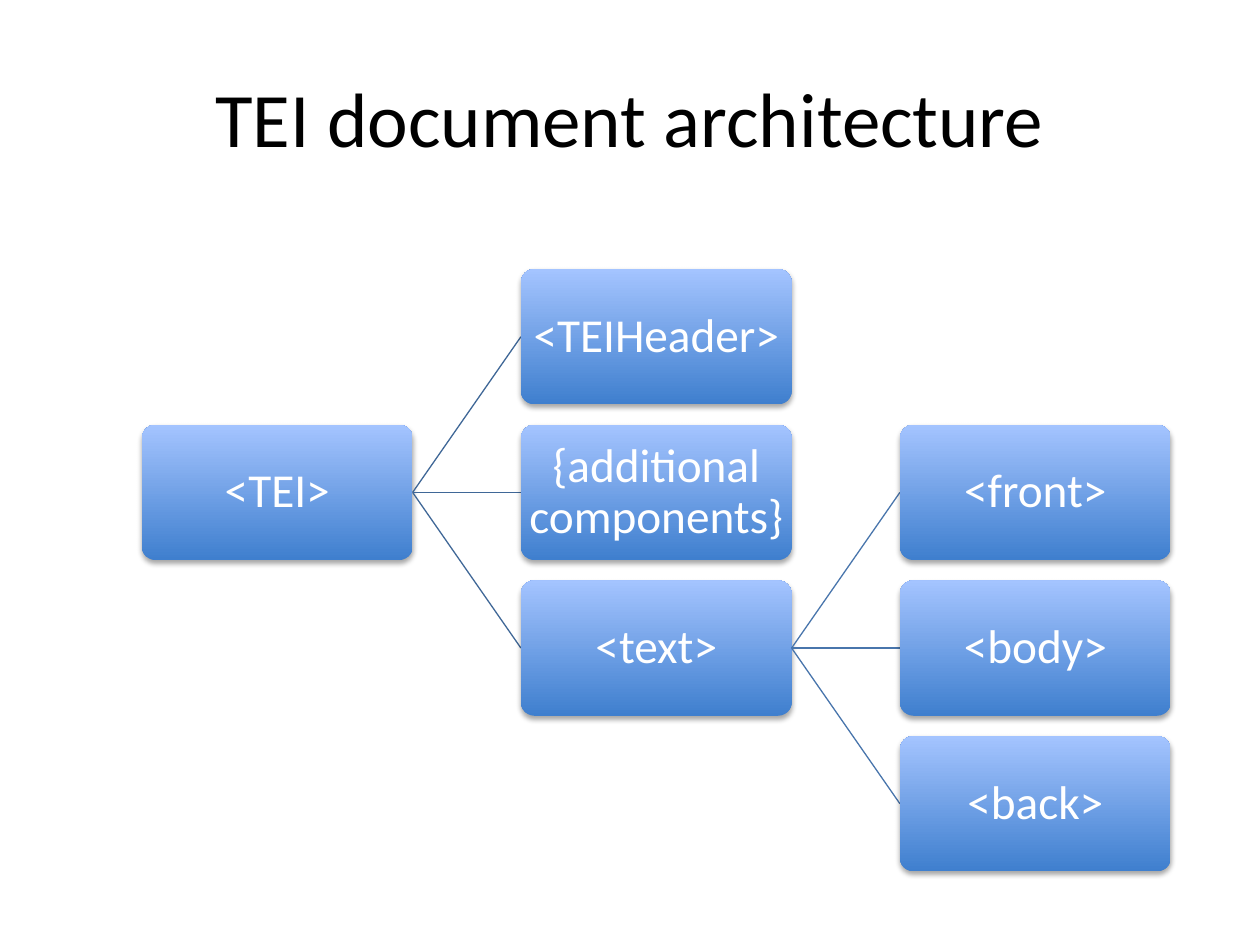
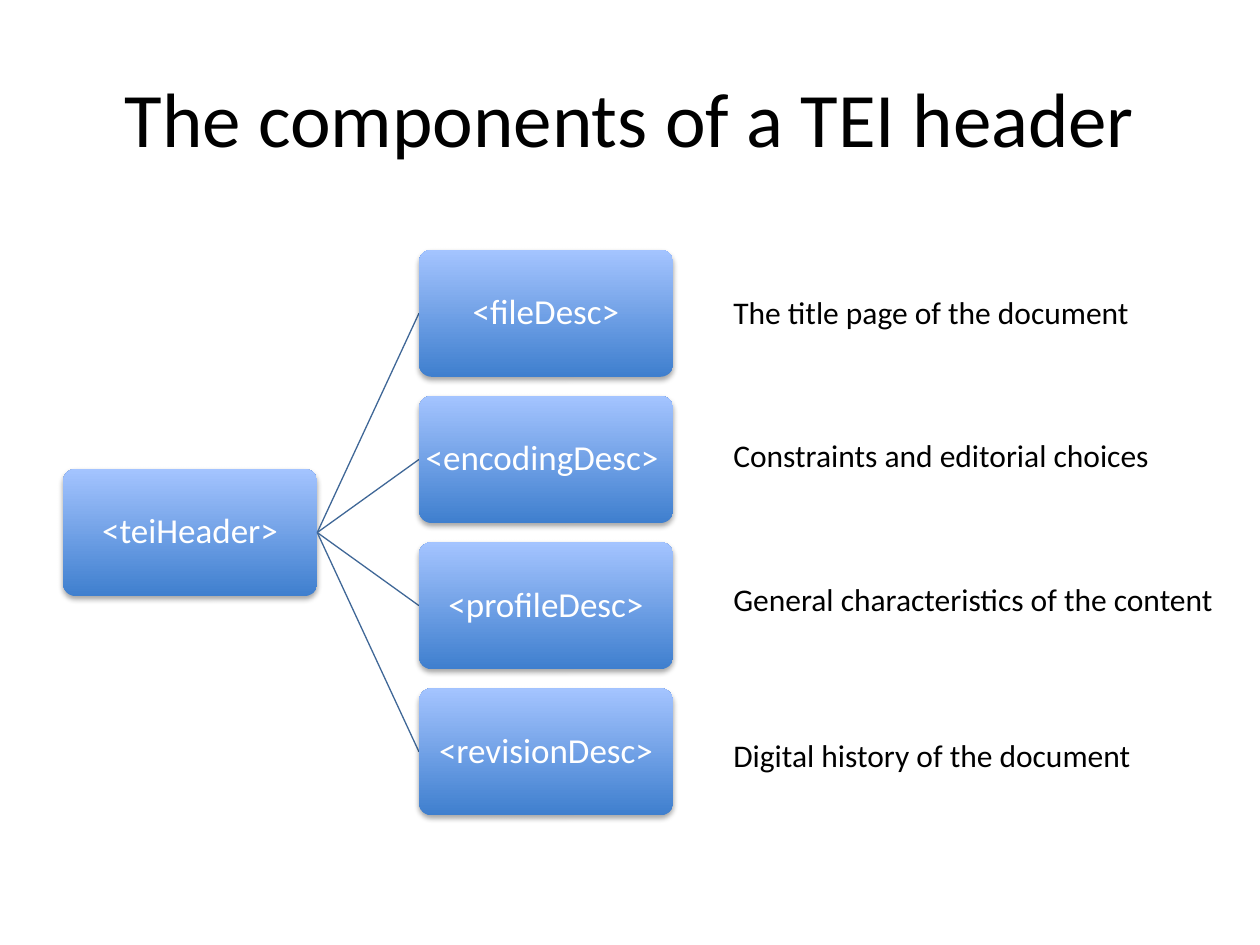
"""Builds two slides on the structure of TEI documents."""
from dataclasses import dataclass
from typing import NamedTuple

from lxml import etree
from pptx import Presentation
from pptx.dml.color import RGBColor
from pptx.enum.shapes import MSO_CONNECTOR, MSO_SHAPE
from pptx.enum.text import MSO_ANCHOR, MSO_AUTO_SIZE, PP_ALIGN
from pptx.oxml.ns import qn
from pptx.util import Pt

ROUNDED = MSO_SHAPE.ROUNDED_RECTANGLE
STRAIGHT = MSO_CONNECTOR.STRAIGHT
LEFT, CENTER = PP_ALIGN.LEFT, PP_ALIGN.CENTER
TOP, MIDDLE = MSO_ANCHOR.TOP, MSO_ANCHOR.MIDDLE
FIT_SHAPE = MSO_AUTO_SIZE.SHAPE_TO_FIT_TEXT
TITLE_ONLY = 5


@dataclass(frozen=True)
class Theme:
    """Colours, type sizes and proportions that the slides share."""
    font: str = "Calibri"
    ink: str = "000000"
    node_ink: str = "FFFFFF"
    node_bottom: str = "3F7FCE"
    node_top: str = "A4C4FF"
    branch_lines: tuple = ("3F6797", "4875AC")
    title_size: float = 44
    document_size: float = 27
    header_size: float = 20
    note_size: float = 18
    node_inset: float = 1.2
    column_pitch: float = 1.4
    row_pitch: float = 1.15


class Box(NamedTuple):
    """A rectangle in points."""
    left: float
    top: float
    width: float
    height: float

    @property
    def middle(self):
        """Return the vertical centre."""
        return self.top + self.height / 2

    @property
    def points(self):
        """Return the four lengths for python-pptx."""
        return [Pt(length) for length in self]


class Element(NamedTuple):
    """An element of the document tree."""
    label: str
    children: tuple = ()


THEME = Theme()
TITLE_BOX = Box(36, 21.6, 648, 90)

DOCUMENT = Element("<TEI>", (
    Element("<TEIHeader>"),
    Element("{additional components}"),
    Element("<text>", (Element("<front>"), Element("<body>"), Element("<back>"))),
))
HEADER = Element("<teiHeader>", (
    Element("<fileDesc>"),
    Element("<encodingDesc> "),
    Element("<profileDesc>"),
    Element("<revisionDesc>"),
))
HEADER_NOTES = (
    ("The title page of the document", 0, 242.6),
    ("Constraints and editorial choices", 81.7, 254.2),
    ("General characteristics of the content", 163.8, 291.6),
    ("Digital history of the document", 253, 244.1),
)


def write_text(frame, text, *, size, color=THEME.ink, align=LEFT, anchor=TOP,
               wrap=True, inset=None, line_spacing=None):
    """Fill a text frame with one formatted paragraph."""
    frame.word_wrap = wrap
    frame.vertical_anchor = anchor
    if inset is not None:
        frame.margin_left = frame.margin_right = Pt(inset)
        frame.margin_top = frame.margin_bottom = Pt(inset)
    paragraph = frame.paragraphs[0]
    paragraph.alignment = align
    paragraph.line_spacing = line_spacing
    run = paragraph.add_run()
    run.text = text
    run.font.name = THEME.font
    run.font.size = Pt(size)
    run.font.color.rgb = RGBColor.from_string(color)


def add_titled_slide(deck, title):
    """Add a slide with its title in the shared place and style."""
    slide = deck.slides.add_slide(deck.slide_layouts[TITLE_ONLY])
    heading = slide.shapes.title
    heading.left, heading.top, heading.width, heading.height = TITLE_BOX.points
    write_text(heading.text_frame, title, size=THEME.title_size,
               align=CENTER, anchor=MIDDLE)
    return slide


def cast_shadow(shape):
    """Give a shape a soft shadow straight below it."""
    shape.shadow.inherit = False
    effects = shape._element.spPr.find(qn("a:effectLst"))
    shadow = etree.SubElement(effects, qn("a:outerShdw"), blurRad=str(Pt(3.1)),
                              dist=str(Pt(1.8)), dir="5400000", rotWithShape="0")
    tone = etree.SubElement(shadow, qn("a:srgbClr"), val="000000")
    etree.SubElement(tone, qn("a:alpha"), val="35000")


def draw_node(slide, box, label, size):
    """Draw one element as a shaded rounded box."""
    node = slide.shapes.add_shape(ROUNDED, *box.points)
    node.adjustments[0] = 0.1
    node.fill.gradient()
    node.fill.gradient_angle = 90
    for stop, color in zip(node.fill.gradient_stops,
                           (THEME.node_bottom, THEME.node_top)):
        stop.color.rgb = RGBColor.from_string(color)
    node.line.fill.background()
    cast_shadow(node)
    write_text(node.text_frame, label, size=size, color=THEME.node_ink,
               align=CENTER, anchor=MIDDLE, inset=THEME.node_inset,
               line_spacing=0.9)


def draw_branch(slide, parent, child, color):
    """Join the right side of a parent to the left side of its child."""
    branch = slide.shapes.add_connector(
        STRAIGHT, Pt(parent.left + parent.width), Pt(parent.middle),
        Pt(child.left), Pt(child.middle))
    branch.line.color.rgb = RGBColor.from_string(color)
    branch.line.width = Pt(0.75)
    etree.SubElement(branch._element.spPr, qn("a:effectLst"))


def draw_tree(slide, box, element, size, depth=0):
    """Draw an element in its box and its children centred to the right."""
    draw_node(slide, box, element.label, size)
    first_row = (1 - len(element.children)) / 2
    for index, child in enumerate(element.children):
        child_box = box._replace(
            left=box.left + THEME.column_pitch * box.width,
            top=box.top + (first_row + index) * THEME.row_pitch * box.height)
        draw_branch(slide, box, child_box, THEME.branch_lines[depth])
        draw_tree(slide, child_box, child, size, depth + 1)


def draw_notes(slide, box, notes):
    """Place notes down a column, each at its offset from the box top."""
    for text, offset, width in notes:
        place = Box(box.left, box.top + offset, width, 29)
        note = slide.shapes.add_textbox(*place.points)
        write_text(note.text_frame, text, size=THEME.note_size, wrap=False)
        note.text_frame.auto_size = FIT_SHAPE


def build_architecture(deck):
    """Build the slide on the whole document."""
    slide = add_titled_slide(deck, "TEI document architecture")
    draw_tree(slide, Box(81.1, 242.7, 154.7, 77.35), DOCUMENT,
              THEME.document_size)


def build_header(deck):
    """Build the slide on the header and its parts."""
    slide = add_titled_slide(deck, "The components of a TEI header")
    draw_tree(slide, Box(36, 268, 145.3, 72.65), HEADER, THEME.header_size)
    draw_notes(slide, Box(412, 163.9, 291.6, 282), HEADER_NOTES)


def main():
    """Build and save the deck."""
    deck = Presentation()
    deck.slide_width, deck.slide_height = Pt(720), Pt(540)
    build_architecture(deck)
    build_header(deck)
    deck.save("out.pptx")


main()
